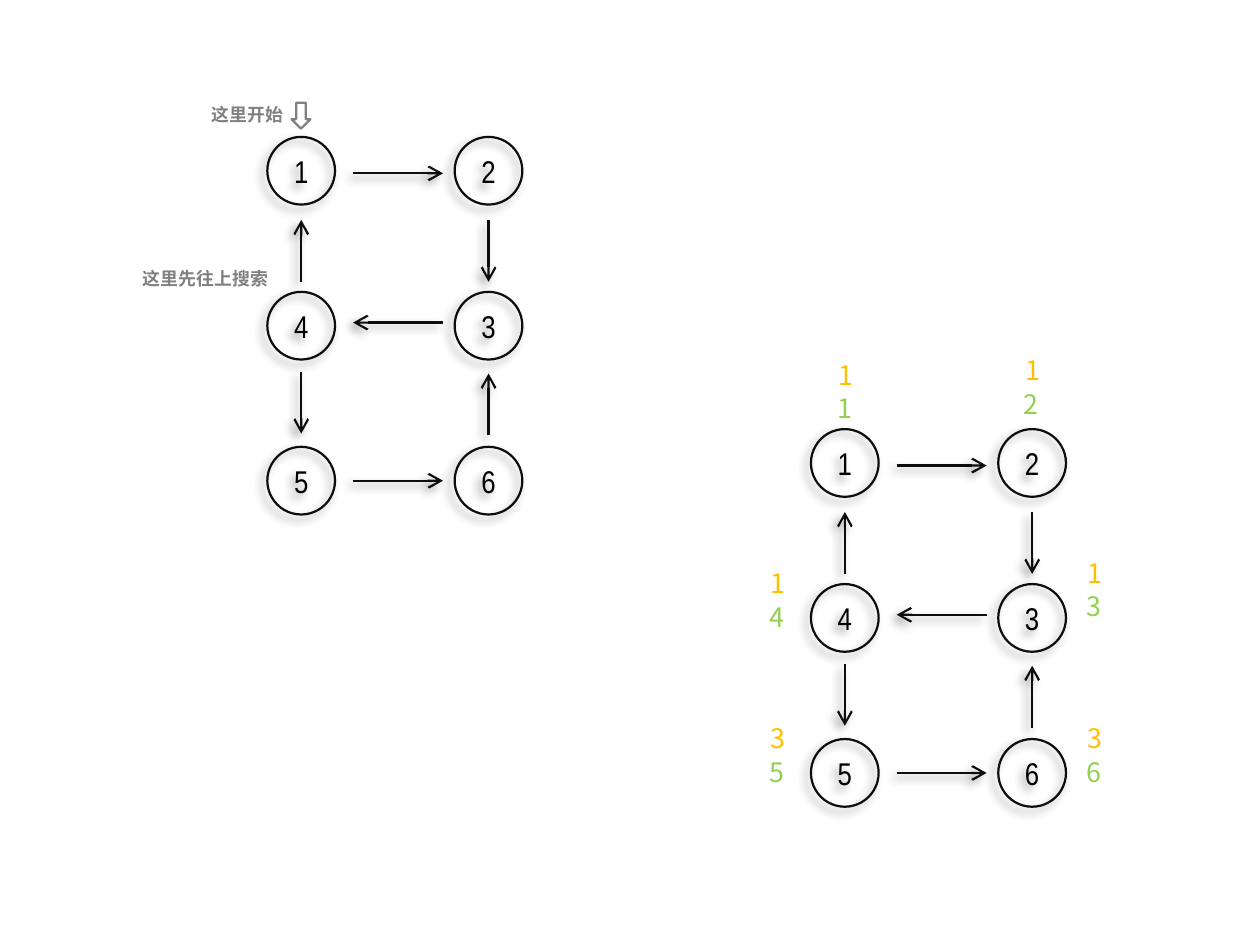
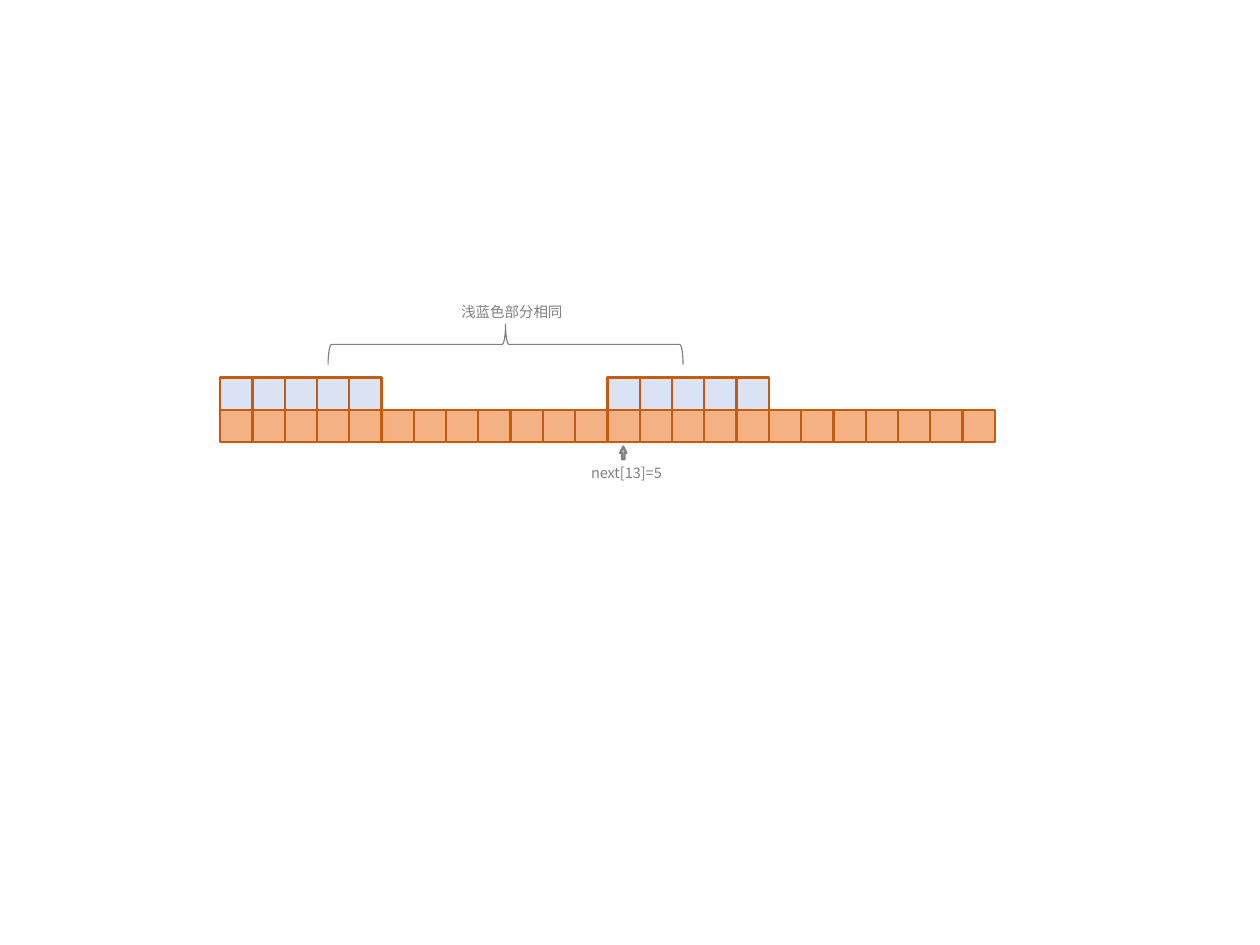
from dataclasses import dataclass

import pptx
import pptx.util
import pptx.dml.color
import pptx.enum.shapes
import pptx.enum.text
import pptx.oxml.ns
from lxml import etree

Cm, Pt = pptx.util.Cm, pptx.util.Pt
MSO = pptx.enum.shapes.MSO_SHAPE
qn = pptx.oxml.ns.qn


@dataclass(frozen=True)
class Theme:
    ink: str = "0D0D0D"
    black: str = "000000"
    white: str = "FFFFFF"
    gray: str = "808080"
    light_gray: str = "BFBFBF"
    green: str = "92D050"
    yellow: str = "FFC000"
    orange: str = "F4B183"
    rust: str = "C55A11"
    pale_blue: str = "DAE3F3"
    node_font: str = "Arial Narrow"
    text_font: str = "Noto Sans CJK SC"
    node_size: float = 14.1
    number_size: float = 12
    note_size: float = 8
    caption_size: float = 6.5


def rgb(color):
    return pptx.dml.color.RGBColor.from_string(color)


class Deck:
    """Holds the theme and the current slide; lengths are in centimetres."""

    def __init__(self, width, height):
        self.theme = Theme()
        self.prs = pptx.Presentation()
        self.prs.slide_width, self.prs.slide_height = Cm(width), Cm(height)

    def new_slide(self):
        self.s = self.prs.slides.add_slide(self.prs.slide_layouts[6])

    def effects(self, sp, shadow):
        """Give an element the soft shadow, or an empty effect list."""
        effects = etree.SubElement(sp._element.spPr, qn("a:effectLst"))
        if shadow:
            outer = etree.SubElement(effects, qn("a:outerShdw"), blurRad=str(Pt(4)), dist=str(Pt(3)),
                                     dir=str(135 * 60000), algn="tr", rotWithShape="0")
            clr = etree.SubElement(outer, qn("a:srgbClr"), val=self.theme.black)
            etree.SubElement(clr, qn("a:alpha"), val="40000")

    def shape(self, kind, x, y, w, h, fill=None, line=None, weight=1, rotation=0, shadow=False):
        sp = self.s.shapes.add_shape(kind, Cm(x), Cm(y), Cm(w), Cm(h))
        sp.rotation = rotation
        if fill:
            sp.fill.solid()
            sp.fill.fore_color.rgb = rgb(fill)
        else:
            sp.fill.background()
        sp.line.color.rgb = rgb(line or self.theme.gray)
        sp.line.width = Pt(weight)
        self.effects(sp, shadow)
        return sp

    def set_text(self, tf, text, size, color, font, bold=False):
        p = tf.paragraphs[0]
        p.text = text
        p.font.size, p.font.bold, p.font.name = Pt(size), bold, font
        p.font.color.rgb = rgb(color)
        defaults = p._p.pPr.find(qn("a:defRPr"))
        etree.SubElement(defaults, qn("a:ea"), typeface=font)
        return p

    def text(self, text, x, y, w, h, size, color=None, bold=False, wrap=True):
        sp = self.s.shapes.add_textbox(Cm(x), Cm(y), Cm(w), Cm(h))
        tf = sp.text_frame
        tf.word_wrap = wrap
        tf.auto_size = pptx.enum.text.MSO_AUTO_SIZE.SHAPE_TO_FIT_TEXT
        self.set_text(tf, text, size, color or self.theme.gray, self.theme.text_font, bold)
        return sp

    def node(self, label, cx, cy, d=1.07):
        t = self.theme
        sp = self.shape(MSO.OVAL, cx - d / 2, cy - d / 2, d, d, line=t.ink, shadow=True)
        tf = sp.text_frame
        tf.margin_left = tf.margin_right = Cm(0.2)
        tf.margin_top = tf.margin_bottom = Cm(0.1)
        tf.vertical_anchor = pptx.enum.text.MSO_ANCHOR.MIDDLE
        p = self.set_text(tf, label, t.node_size, t.black, t.node_font)
        p.alignment = pptx.enum.text.PP_ALIGN.CENTER

    def arrow(self, x1, y1, x2, y2):
        c = self.s.shapes.add_connector(pptx.enum.shapes.MSO_CONNECTOR.STRAIGHT,
                                        Cm(x1), Cm(y1), Cm(x2), Cm(y2))
        c.line.color.rgb = rgb(self.theme.ink)
        c.line.width = Pt(1)
        etree.SubElement(c._element.spPr.find(qn("a:ln")), qn("a:tailEnd"), type="arrow")
        self.effects(c, shadow=True)

    def graph(self, x, y):
        """Draw the directed graph with node 1 centred on (x, y)."""
        centres = {n: (x + col * PITCH_X, y + row * PITCH_Y) for n, (col, row) in GRID.items()}
        for n, centre in centres.items():
            self.node(str(n), *centre)
        for start, end, dx, dy in EDGES:
            (x1, y1), (x2, y2) = centres[start], centres[end]
            mx, my = (x1 + x2) / 2 + dx, (y1 + y2) / 2 + dy
            # Each arrow keeps a fixed share of the distance between its nodes
            hx, hy = (x2 - x1) * 0.24, (y2 - y1) * 0.2
            self.arrow(mx - hx, my - hy, mx + hx, my + hy)
        return centres

    def cells(self, first, count, y, fill):
        for i in range(first, first + count):
            self.shape(MSO.RECTANGLE, ROW_X + i * CELL, y, CELL, CELL, fill, self.theme.rust)


# Graph: column and row of each node; edges with the nudge of their midpoint
PITCH_X, PITCH_Y = 2.96, 2.45
GRID = {1: (0, 0), 2: (1, 0), 3: (1, 1), 4: (0, 1), 5: (0, 2), 6: (1, 2)}
EDGES = [(1, 2, 0.05, 0.04), (2, 3, 0, 0.04), (3, 4, 0.05, -0.05), (4, 1, 0, 0.04),
         (4, 5, 0, -0.01), (5, 6, 0.05, 0), (6, 3, 0, 0.02)]
# Visit order and lowest reachable number: node, low value, offset from the centre
MARKS = [(1, 1, -0.37, -1.25), (2, 1, -0.38, -1.32), (3, 1, 0.61, -0.57),
         (4, 1, -1.44, -0.4), (5, 3, -1.44, -0.4), (6, 3, 0.61, -0.4)]
# Cell row
ROW_X, CELL = 3.48, 0.51

deck = Deck(19.91, 14.94)
t = deck.theme

# Slide 1: search order on a graph
deck.new_slide()
deck.graph(4.76, 2.7)
start_note = deck.text("这里开始", 3.1, 1.52, 1.65, 0.61, t.note_size, bold=True, wrap=False)
start_arrow = deck.shape(MSO.RIGHT_ARROW, 4.55, 1.68, 0.41, 0.3, t.white, rotation=90)
deck.s.shapes.add_group_shape([start_note, start_arrow])
deck.text("这里先往上搜索", 2.01, 4.11, 2.51, 0.61, t.note_size, bold=True, wrap=False)

centres = deck.graph(13.35, 7.32)
for n, low, dx, dy in MARKS:
    x, y = centres[n][0] + dx, centres[n][1] + dy
    deck.text(str(n), x, y, 1.78, 0.76, t.number_size, t.green)
    deck.text(str(low), x + 0.02, y - 0.53, 1.78, 0.76, t.number_size, t.yellow)

# Slide 2: equal prefix and suffix in a row of cells
deck.new_slide()
deck.cells(0, 24, 6.48, t.orange)
for first in (12, 0):
    deck.cells(first, 5, 6.48 - CELL, t.pale_blue)
deck.text("next[13]=5", 9.09, 7.21, 3.91, 0.53, t.caption_size)
pointer = deck.shape(MSO.RIGHT_ARROW, 9.75, 7.11, 0.2, 0.1, t.light_gray, rotation=270)
pointer.adjustments[0], pointer.adjustments[1] = 0.43, 1
deck.shape(MSO.RIGHT_BRACE, 7.67, 2.64, 0.64, 5.61, weight=0.5, rotation=270)
deck.text("浅蓝色部分相同", 7.04, 4.67, 3.91, 0.53, t.caption_size)

deck.prs.save("out.pptx")
